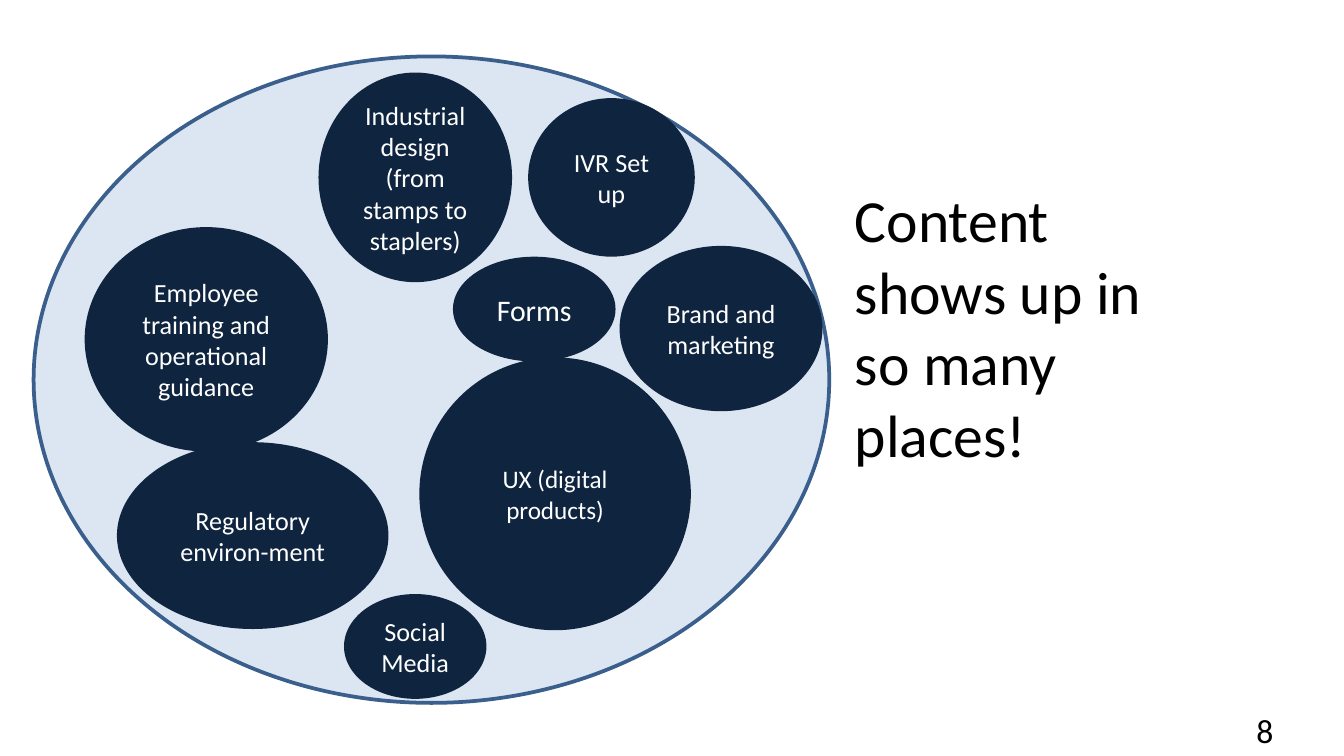
from pptx import Presentation
from pptx import util as u
from pptx.dml import color
from pptx.enum import shapes, text

HUES = {"pale": "DCE6F2", "edge": "3A5F8C", "navy": "0F243E", "white": "FFFFFF", "black": "000000"}
AL = text.PP_ALIGN
MID = text.MSO_ANCHOR.MIDDLE
TOP = text.MSO_ANCHOR.TOP


def hue(name):
    return color.RGBColor.from_string(HUES[name])


def put(frame, words, size=14, ink="black", align=AL.LEFT, anchor=TOP, wrap=True):
    frame.word_wrap = wrap
    frame.auto_size = text.MSO_AUTO_SIZE.NONE
    frame.vertical_anchor = anchor
    frame.text = words
    for para in frame.paragraphs:
        para.alignment = align
        para.line_spacing = 1
        para.space_before = u.Pt(0)
        for run in para.runs:
            run.font.name = "Calibri"
            run.font.size = u.Pt(size)
            run.font.color.rgb = hue(ink)


deck = Presentation()
deck.slide_width = u.Inches(10)
deck.slide_height = u.Inches(10 * 9 / 16)
slide = deck.slides.add_slide(deck.slide_layouts[5])

title = slide.shapes.title
title.left, title.top = u.Inches(6.26), u.Inches(1.31)
title.width, title.height = u.Inches(2.75), u.Inches(2.24)
put(title.text_frame, "Content shows up in\nso many places!", size=32)

ovals = [
    ("", 0.25, 0.42, 5.92, 4.81, 14),
    ("Industrial design (from stamps to staplers)", 2.37, 0.54, 1.44, 1.56, 14),
    ("IVR Set up", 3.93, 0.73, 1.24, 1.18, 14),
    ("Employee training and operational guidance", 0.63, 1.69, 1.81, 1.67, 14),
    ("Forms", 3.37, 1.91, 1.21, 0.78, 16),
    ("Brand and marketing", 4.61, 1.83, 1.51, 1.23, 14),
    ("Regulatory environ-ment", 0.87, 3.29, 2.02, 1.39, 14),
    ("UX (digital products)", 3.12, 2.66, 2.02, 2.03, 13.5),
    ("Social\nMedia", 2.56, 4.42, 1.06, 0.78, 14),
]
for words, left, top, wide, high, size in ovals:
    oval = slide.shapes.add_shape(
        shapes.MSO_SHAPE.OVAL, u.Inches(left), u.Inches(top), u.Inches(wide), u.Inches(high))
    oval.shadow.inherit = False
    oval.fill.solid()
    if words:
        oval.fill.fore_color.rgb = hue("navy")
        oval.line.fill.background()
        put(oval.text_frame, words, size=size, ink="white", align=AL.CENTER, anchor=MID)
    else:
        oval.fill.fore_color.rgb = hue("pale")
        oval.line.color.rgb = hue("edge")
        oval.line.width = u.Pt(2)

page = slide.shapes.add_textbox(u.Inches(9.25), u.Inches(5.23), u.Inches(0.25), u.Inches(0.4))
put(page.text_frame, "8", size=18, wrap=False)

deck.save("out.pptx")
